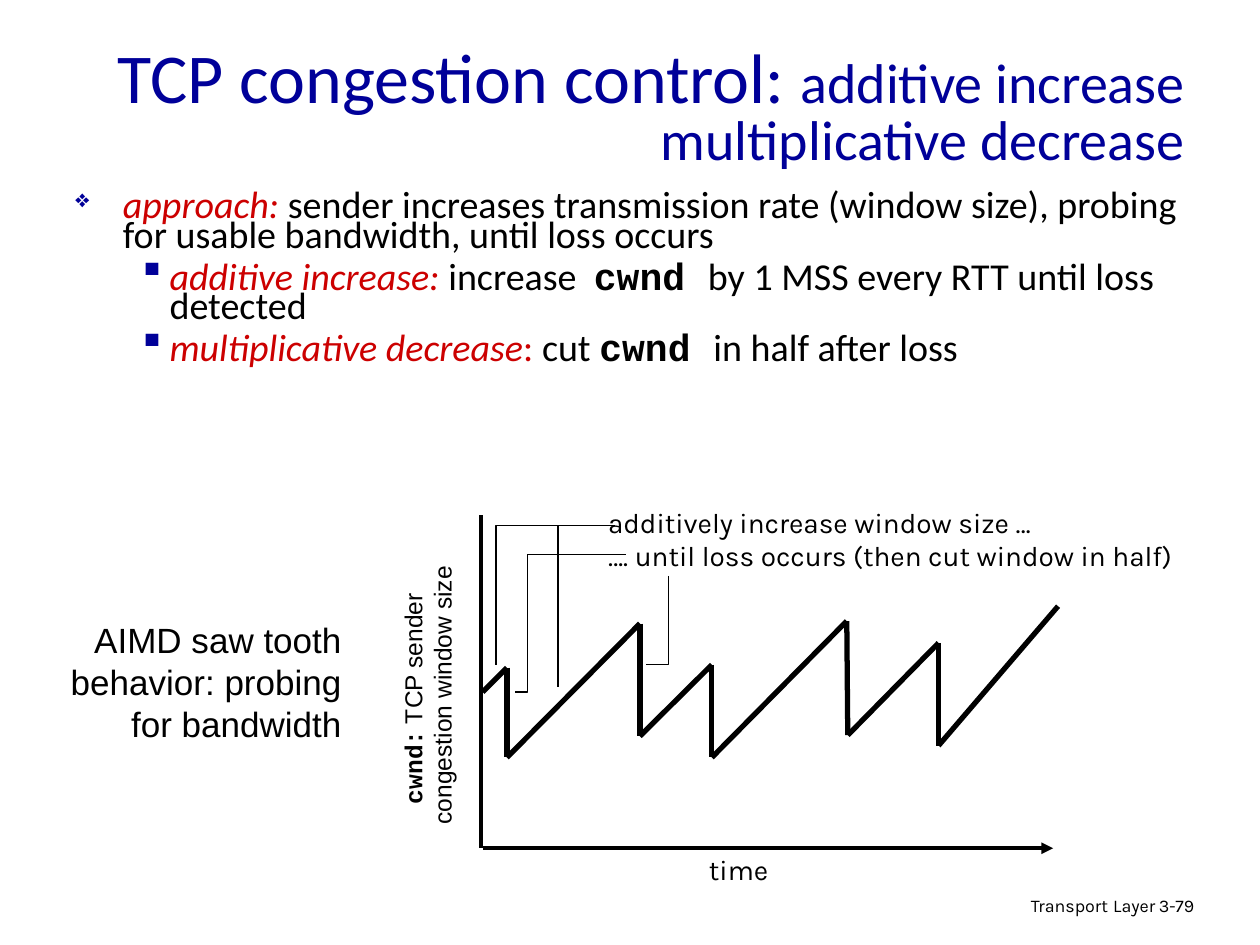
from itertools import pairwise

from lxml.etree import SubElement
from pptx import Presentation
from pptx.dml.color import RGBColor
from pptx.enum.shapes import MSO_CONNECTOR as Connector
from pptx.enum.text import MSO_ANCHOR as Anchor, MSO_AUTO_SIZE as AutoSize, PP_ALIGN as Align
from pptx.oxml.ns import qn
from pptx.util import Cm, Pt

COLORS = {"navy": "000099", "red": "CC0000", "black": "000000", "white": "FFFFFF"}
TERM = {"color": "red", "italic": True}
CODE = {"name": "Courier New", "bold": True}


def rgb(color):
    return RGBColor.from_string(COLORS[color])


def style_font(font, size=None, name=None, color=None, bold=None, italic=None):
    if size:
        font.size = Pt(size)
    if name:
        font.name = name
    if color:
        font.color.rgb = rgb(color)
    if bold is not None:
        font.bold = bold
    if italic is not None:
        font.italic = italic


def add_bullet(paragraph, char, left, hanging, percent):
    props = paragraph._p.get_or_add_pPr()
    props.set("marL", str(Cm(left)))
    props.set("indent", str(-Cm(hanging)))
    bullet_color = SubElement(props, qn("a:buClr"))
    SubElement(bullet_color, qn("a:srgbClr")).set("val", COLORS["navy"])
    SubElement(props, qn("a:buSzPct")).set("val", str(percent * 1000))
    SubElement(props, qn("a:buChar")).set("char", char)


def add_text(slide, box, lines, size, name, color="black", align=Align.LEFT,
             spacing=None, before=0, wrap=True, bullets=None):
    text_box = slide.shapes.add_textbox(*map(Cm, box))
    frame = text_box.text_frame
    frame.word_wrap = wrap
    frame.auto_size = AutoSize.NONE if wrap else AutoSize.SHAPE_TO_FIT_TEXT
    for index, runs in enumerate(lines):
        paragraph = frame.paragraphs[0] if index == 0 else frame.add_paragraph()
        if bullets:
            add_bullet(paragraph, *bullets[index])
        paragraph.alignment = align
        if spacing:
            paragraph.line_spacing = spacing
        if index and before:
            paragraph.space_before = Pt(before)
        style_font(paragraph.font, size, name, color)
        for text, changes in runs:
            run = paragraph.add_run()
            run.text = text
            style_font(run.font, **changes)
    return text_box


def plain(*lines):
    return [[(line, {})] for line in lines]


def add_line(slide, start, end, width, arrow=False):
    line = slide.shapes.add_connector(Connector.STRAIGHT, *map(Cm, (*start, *end)))
    line.line.color.rgb = rgb("black")
    line.line.width = Pt(width)
    if arrow:
        SubElement(line.line._get_or_add_ln(), qn("a:tailEnd")).set("type", "triangle")
    SubElement(line._element.spPr, qn("a:effectLst"))


def add_callout(slide, points):
    start, *rest = [(Cm(x), Cm(y)) for x, y in points]
    builder = slide.shapes.build_freeform(*start)
    builder.add_line_segments(rest, close=False)
    callout = builder.convert_to_shape()
    callout.shadow.inherit = False
    callout.fill.background()
    callout.line.color.rgb = rgb("black")
    callout.line.width = Pt(0.75)


def add_title(slide, box):
    title = [[("TCP congestion control: ", {}),
              ("additive increase multiplicative decrease", {"size": 32})]]
    heading = add_text(slide, box, title, 40, "Calibri", "navy", Align.RIGHT, spacing=0.8)
    heading.text_frame.vertical_anchor = Anchor.MIDDLE


def add_approach(slide, box):
    points = [
        [("approach: ", TERM),
         ("sender increases transmission rate (window size), probing for usable "
          "bandwidth, until loss occurs", {})],
        [("additive increase:", TERM), (" increase  ", {}), ("cwnd ", CODE),
         ("by 1 MSS every RTT until loss detected", {})],
        [("multiplicative decrease", TERM), (":", {"color": "red"}), (" cut ", {}),
         ("cwnd ", CODE), ("in half after loss", {})],
    ]
    sub_bullet = ("▪", 1.9, 0.64, 100)
    add_text(slide, box, points, 21.7, "Calibri", spacing=0.65, before=7,
             bullets=[("❖", 0.96, 0.96, 65), sub_bullet, sub_bullet])


def add_caption(slide, box):
    add_text(slide, box, plain("AIMD saw tooth", "behavior: probing", "for bandwidth"),
             20, "Arial", align=Align.RIGHT, wrap=False)


def add_sawtooth_plot(slide, box):
    left, top, width, height = box

    def at(x, y):
        return left + x, top + y

    axis_label = add_text(
        slide, (*at(-3.94, 2.9), 5.72, 1.45),
        [[("cwnd:", CODE), (" TCP sender ", {})], [("congestion window size", {})]],
        14, "Arial", align=Align.CENTER, wrap=False)
    axis_label.rotation = 270
    axis_label.fill.solid()
    axis_label.fill.fore_color.rgb = rgb("white")

    add_line(slide, at(0.03, height), at(width, height), 2.25, arrow=True)
    add_line(slide, at(0, 0), at(0, height), 2.25)

    window_sizes = [(0.03, 3.56), (0.52, 3.07), (0.52, 4.88), (3.2, 2.18),
                    (3.2, 4.45), (4.65, 3.01), (4.65, 4.88), (7.37, 2.13),
                    (7.39, 4.43), (9.22, 2.57), (9.22, 4.64), (11.63, 1.83)]
    for start, end in pairwise(window_sizes):
        add_line(slide, at(*start), at(*end), 3)

    add_text(slide, (*at(2.31, -0.33), 12.14, 1.63),
             plain("additively increase window size …",
                   "…. until loss occurs (then cut window in half)"),
             16, "Karla", wrap=False)
    callouts = [
        [(2.69, 0.2), (0.3, 0.2), (0.3, 3.02)],
        [(2.92, 0.79), (0.94, 0.79), (0.94, 3.56), (0.69, 3.56)],
        [(2.69, 0.2), (1.55, 0.2), (1.55, 3.45)],
        [(3.78, 1.22), (3.78, 3), (3.33, 3)],
    ]
    for points in callouts:
        add_callout(slide, [at(*point) for point in points])

    add_text(slide, (*at(4.34, 6.68), 1.7, 0.94), plain("time"), 16, "Karla",
             align=Align.CENTER, wrap=False)


def add_footer(slide, box):
    left, top, width, height = box
    chapter = [[("Transport", {}), (" ", {"size": 11.9}), ("Layer", {})]]
    add_text(slide, (left, top, 8.05, height), chapter, 10.2, "Karla",
             align=Align.RIGHT, spacing=0.9)
    add_text(slide, (left + 7.62, top + 0.05, width - 7.62, height), plain("3-79"),
             10.2, "Karla", spacing=0.9)


def main():
    presentation = Presentation()
    presentation.slide_width = Cm(25.4)
    presentation.slide_height = Cm(19.05)
    slide = presentation.slides.add_slide(presentation.slide_layouts[6])
    add_footer(slide, (15.49, 17.91, 9.5, 0.78))
    add_title(slide, (0.64, 0.64, 23.5, 3.18))
    add_approach(slide, (1.27, 3.81, 23.27, 4.01))
    add_caption(slide, (1.17, 12.34, 5.97, 2.79))
    add_sawtooth_plot(slide, (9.7, 10.39, 11.53, 6.71))
    presentation.save("out.pptx")


if __name__ == "__main__":
    main()
